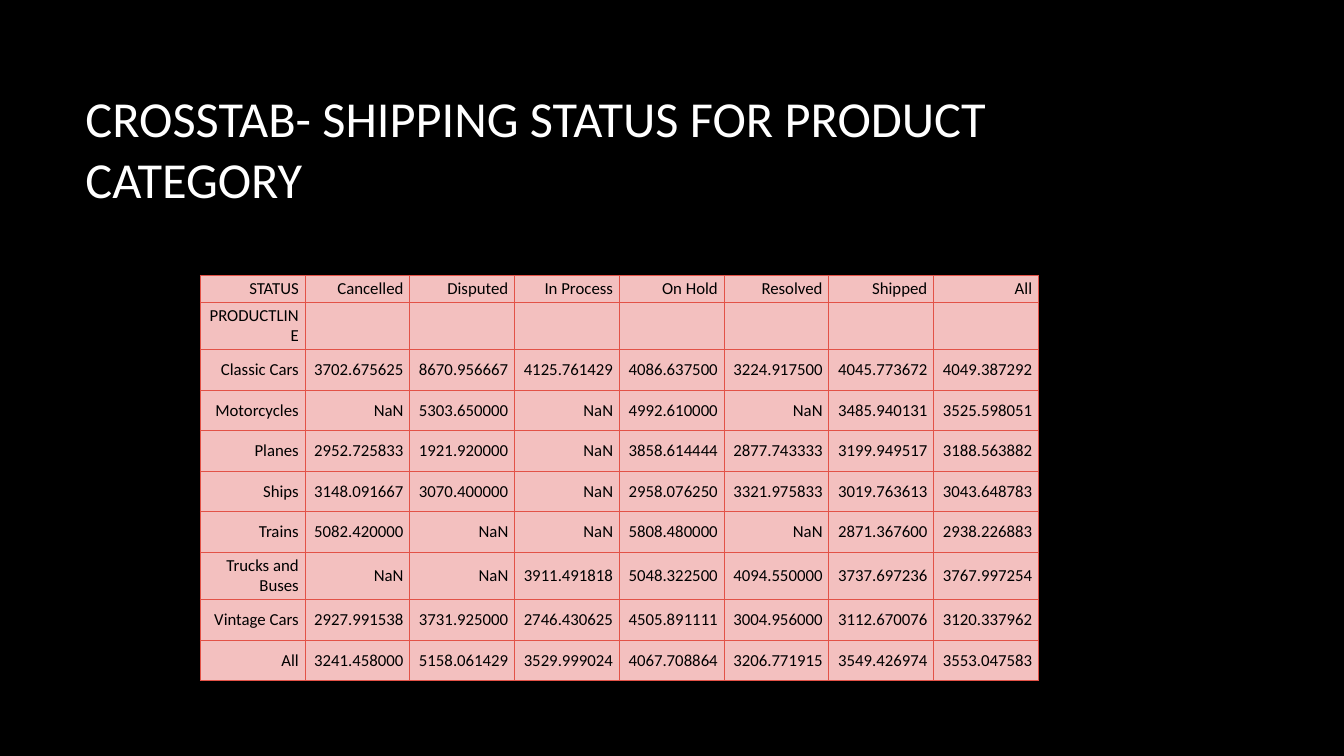
from lxml.etree import SubElement
from pptx import Presentation
from pptx.dml.color import RGBColor as RGB
from pptx.enum.text import MSO_ANCHOR as ANCHOR, MSO_AUTO_SIZE as FIT, PP_ALIGN as ALIGN
from pptx.oxml.ns import qn
from pptx.util import Cm, Pt

FONT = "Calibri"
BLACK, WHITE, PINK, RED = "000000", "FFFFFF", "F3C0BF", "E25247"

STATUSES = ["STATUS", "Cancelled", "Disputed", "In Process", "On Hold", "Resolved", "Shipped", "All"]
PRODUCTS = [
    ("Classic Cars", "3702.675625 8670.956667 4125.761429 4086.637500 3224.917500 4045.773672 4049.387292"),
    ("Motorcycles", "NaN 5303.650000 NaN 4992.610000 NaN 3485.940131 3525.598051"),
    ("Planes", "2952.725833 1921.920000 NaN 3858.614444 2877.743333 3199.949517 3188.563882"),
    ("Ships", "3148.091667 3070.400000 NaN 2958.076250 3321.975833 3019.763613 3043.648783"),
    ("Trains", "5082.420000 NaN NaN 5808.480000 NaN 2871.367600 2938.226883"),
    ("Trucks and Buses", "NaN NaN 3911.491818 5048.322500 4094.550000 3737.697236 3767.997254"),
    ("Vintage Cars", "2927.991538 3731.925000 2746.430625 4505.891111 3004.956000 3112.670076 3120.337962"),
    ("All", "3241.458000 5158.061429 3529.999024 4067.708864 3206.771915 3549.426974 3553.047583"),
]


def color(hex_str):
    """Turn a hex string into a colour."""
    return RGB.from_string(hex_str)


def add_run(p, text, size, hex_str):
    """Add one formatted run to a paragraph."""
    r = p.add_run()
    r.text = text
    r.font.name = FONT
    r.font.size = Pt(size)
    r.font.color.rgb = color(hex_str)


def add_borders(cell, hex_str, width):
    """Draw a solid line on all four sides of a cell."""
    tc_pr = cell._tc.get_or_add_tcPr()
    for side in ("a:lnL", "a:lnR", "a:lnT", "a:lnB"):
        ln = SubElement(tc_pr, qn(side), w=str(Pt(width)))
        fill = SubElement(ln, qn("a:solidFill"))
        SubElement(fill, qn("a:srgbClr"), val=hex_str)


def format_cell(cell, text):
    """Style one table cell and write its text."""
    add_borders(cell, RED, 0.75)
    cell.fill.solid()
    cell.fill.fore_color.rgb = color(PINK)
    cell.vertical_anchor = ANCHOR.MIDDLE
    cell.margin_left = cell.margin_right = Cm(0.16)
    cell.margin_top = cell.margin_bottom = Cm(0.08)
    p = cell.text_frame.paragraphs[0]
    p.alignment = ALIGN.RIGHT
    if text:
        add_run(p, text, 12, BLACK)
    else:
        p.font.size = Pt(12)


def add_title(s, left, top, width, height):
    """Place the slide title in its box."""
    sp = s.shapes.title
    sp.left, sp.top, sp.width, sp.height = left, top, width, height
    tf = sp.text_frame
    tf.word_wrap = True
    tf.auto_size = FIT.NONE
    tf.vertical_anchor = ANCHOR.MIDDLE
    p = tf.paragraphs[0]
    p.alignment = ALIGN.LEFT
    add_run(p, "CROSSTAB- SHIPPING STATUS FOR PRODUCT CATEGORY", 36, WHITE)


def add_crosstab(s, left, top, width, height):
    """Place the crosstab, with a low header row and equal rows below it."""
    rows = [STATUSES, ["PRODUCTLINE"] + [""] * (len(STATUSES) - 1)]
    rows += [[name] + values.split() for name, values in PRODUCTS]
    table = s.shapes.add_table(len(rows), len(STATUSES), left, top, width, height).table
    header = Cm(0.58)
    for col in table.columns:
        col.width = int(width / len(STATUSES))
    for i, texts in enumerate(rows):
        table.rows[i].height = int((height - header) / (len(rows) - 1)) if i else header
        for j, text in enumerate(texts):
            format_cell(table.cell(i, j), text)


def main():
    """Build the slide and save it."""
    prs = Presentation()
    prs.slide_width, prs.slide_height = Cm(33.87), Cm(19.05)
    s = prs.slides.add_slide(prs.slide_layouts[5])
    s.background.fill.solid()
    s.background.fill.fore_color.rgb = color(BLACK)
    add_title(s, Cm(1.9), Cm(1.7), Cm(28.15), Cm(4.04))
    add_crosstab(s, Cm(5.05), Cm(6.94), Cm(21.12), Cm(9.77))
    prs.save("out.pptx")


if __name__ == "__main__":
    main()
